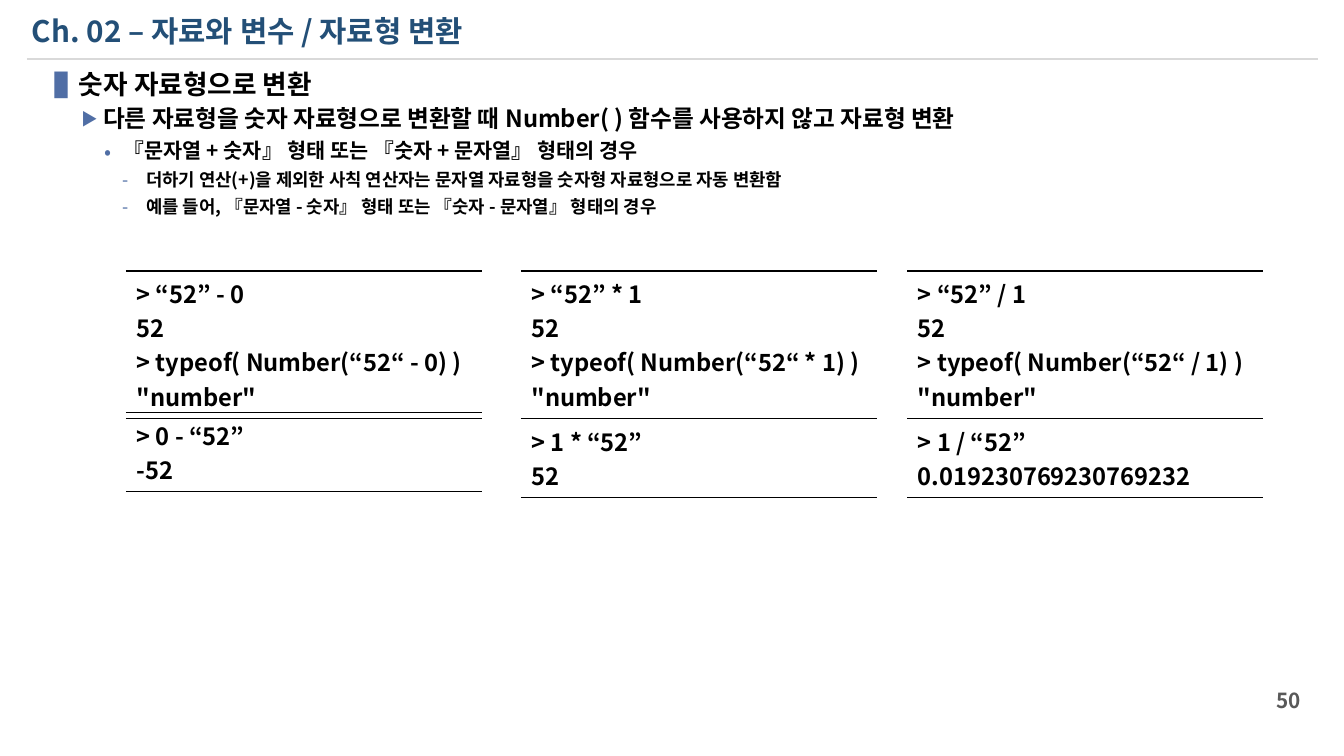
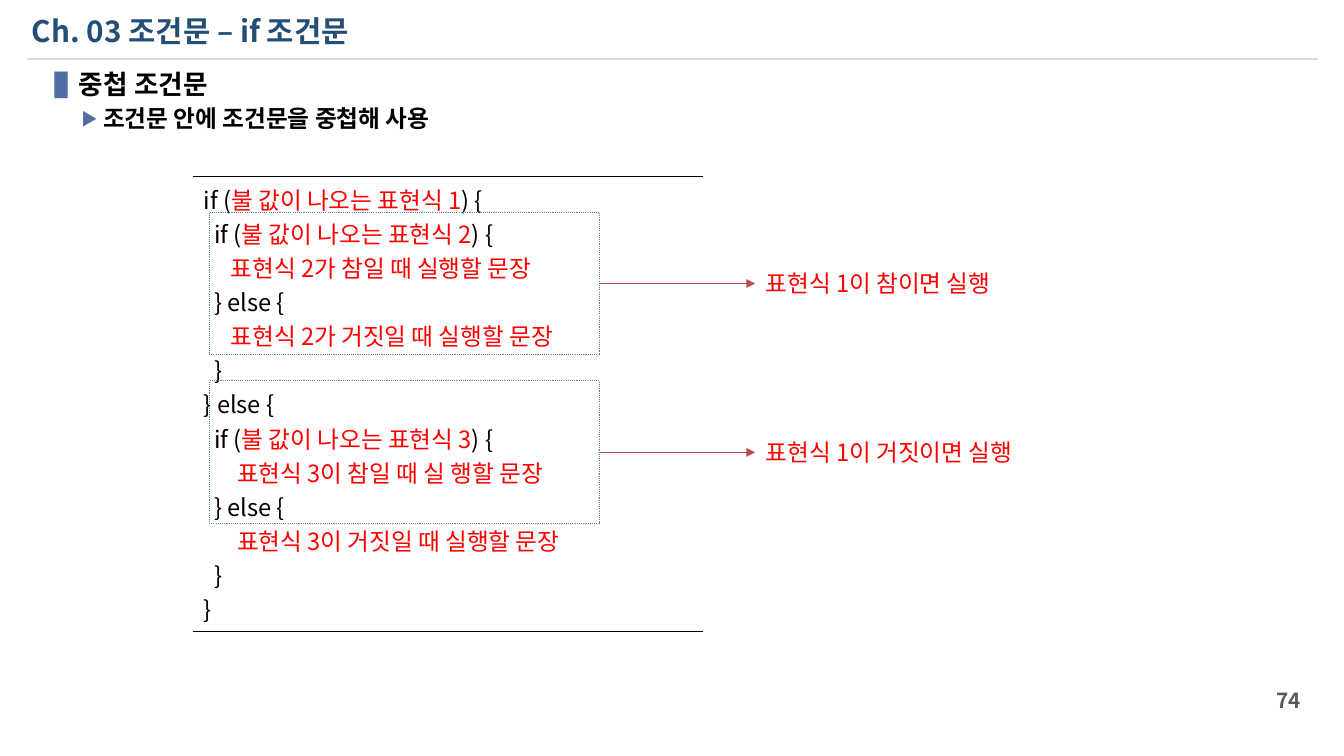
from dataclasses import dataclass

from lxml.etree import SubElement
from pptx import Presentation
from pptx.dml.color import RGBColor
from pptx.enum.dml import MSO_LINE
from pptx.enum.shapes import MSO_CONNECTOR as Connector, MSO_SHAPE as Preset
from pptx.enum.text import MSO_ANCHOR as Anchor, PP_ALIGN as Align
from pptx.oxml.ns import qn
from pptx.util import Cm, Pt

FONT = "Noto Sans CJK KR"
BLACK, RED, NAVY, BLUE = "000000", "FF0000", "234F77", "506EA5"
GREY, RULE_GREY, ARROW_RED, BOX_BLUE = "595959", "D9D9D9", "BF4C48", "4F81BD"
CODE_SIZE = 16


@dataclass(frozen=True)
class Box:
    left: float
    top: float
    width: float
    height: float

    def lengths(self) -> tuple:
        return Cm(self.left), Cm(self.top), Cm(self.width), Cm(self.height)


@dataclass(frozen=True)
class Level:
    bullet: str
    margin: float
    hanging: float
    size: int
    space_before: float
    bullet_percent: int = 100


@dataclass(frozen=True)
class Run:
    text: str
    color: str = BLACK


@dataclass(frozen=True)
class CodeLine:
    runs: tuple[Run, ...]
    indent: float = 0


LEVELS = (
    Level("▐", 0.89, 0.89, 18, 0),
    Level("▶", 1.47, 0.53, 16, 2.5, 70),
    Level("•", 1.96, 0.46, 14, 3.5),
    Level("-", 2.49, 0.56, 12, 4),
)
TITLE_BOX = Box(0.51, 0.23, 30.12, 1.12)
BODY_BOX = Box(0.74, 1.5, 30.51, 4.85)
NUMBER_BOX = Box(28.83, 16.19, 2.39, 0.97)


def rgb(color: str) -> RGBColor:
    return RGBColor.from_string(color)


def add_run(paragraph, text: str, size: int, color: str, bold: bool) -> None:
    run = paragraph.add_run()
    run.text = text
    font = run.font
    font.size, font.bold, font.name = Pt(size), bold, FONT
    font.color.rgb = rgb(color)
    SubElement(font._element, qn("a:ea"), typeface=FONT)


def next_paragraph(frame, index: int):
    return frame.add_paragraph() if index else frame.paragraphs[0]


def add_text_frame(slide, box: Box, anchor=Anchor.TOP):
    shape = slide.shapes.add_textbox(*box.lengths())
    frame = shape.text_frame
    frame.word_wrap = True
    frame.vertical_anchor = anchor
    return shape, frame


def add_line(slide, start: tuple, end: tuple, color: str, width: float):
    points = [Cm(value) for value in (*start, *end)]
    line = slide.shapes.add_connector(Connector.STRAIGHT, *points)
    line.line.color.rgb = rgb(color)
    line.line.width = Pt(width)
    SubElement(line._element.spPr, qn("a:effectLst"))
    return line


def add_base(presentation, title: str, number: str, outline: tuple):
    """Add a slide with its title, rule, page number and bullet outline."""
    slide = presentation.slides.add_slide(presentation.slide_layouts[6])
    add_line(slide, (0.64, 1.41), (31.39, 1.41), RULE_GREY, 1.5)

    # Page number
    _, frame = add_text_frame(slide, NUMBER_BOX, Anchor.MIDDLE)
    frame.paragraphs[0].alignment = Align.RIGHT
    add_run(frame.paragraphs[0], number, 14, GREY, True)

    # Title
    _, frame = add_text_frame(slide, TITLE_BOX, Anchor.MIDDLE)
    frame.paragraphs[0].line_spacing = 0.9
    add_run(frame.paragraphs[0], title, 20, NAVY, True)

    # Bullet outline
    _, frame = add_text_frame(slide, BODY_BOX)
    for index, (depth, text) in enumerate(outline):
        level = LEVELS[depth]
        paragraph = next_paragraph(frame, index)
        paragraph.level = depth
        paragraph.space_before = Pt(level.space_before)
        add_bullet(paragraph, level)
        add_run(paragraph, text, level.size, BLACK, True)
    return slide


def add_bullet(paragraph, level: Level) -> None:
    properties = paragraph._p.get_or_add_pPr()
    properties.set("marL", str(Cm(level.margin)))
    properties.set("indent", str(Cm(-level.hanging)))
    color = SubElement(properties, qn("a:buClr"))
    SubElement(color, qn("a:srgbClr"), val=BLUE)
    SubElement(properties, qn("a:buSzPct"), val=str(level.bullet_percent * 1000))
    SubElement(properties, qn("a:buFont"), typeface=FONT)
    SubElement(properties, qn("a:buChar"), char=level.bullet)


def set_borders(cell) -> None:
    """Rule the top and bottom of a cell and leave its sides open."""
    properties = cell._tc.get_or_add_tcPr()
    for position, side in enumerate(("L", "R", "T", "B")):
        border = properties.makeelement(qn(f"a:ln{side}"), {"w": str(Pt(1))})
        properties.insert(position, border)
        if side in "LR":
            SubElement(border, qn("a:noFill"))
        else:
            fill = SubElement(border, qn("a:solidFill"))
            SubElement(fill, qn("a:srgbClr"), val=BLACK)


def add_code(slide, box: Box, lines: tuple, bold: bool) -> None:
    table = slide.shapes.add_table(1, 1, *box.lengths()).table
    table.first_row = table.horz_banding = False
    cell = table.cell(0, 0)
    cell.fill.background()
    set_borders(cell)
    for index, line in enumerate(lines):
        paragraph = next_paragraph(cell.text_frame, index)
        paragraph._p.get_or_add_pPr().set("marL", str(Cm(line.indent)))
        for run in line.runs:
            add_run(paragraph, run.text, CODE_SIZE, run.color, bold)


def plain_lines(*texts: str) -> tuple:
    return tuple(CodeLine((Run(text),)) for text in texts)


def condition(number: int, indent: float = 0) -> CodeLine:
    expression = Run(f"불 값이 나오는 표현식 {number}", RED)
    return CodeLine((Run("if ("), expression, Run(") {")), indent)


def code(text: str, indent: float = 0, color: str = BLACK) -> CodeLine:
    return CodeLine((Run(text, color),), indent)


def nested_if(number: int, statements: tuple, indent: float) -> tuple:
    when_true, when_false = statements
    return (
        condition(number, 0.25),
        code(when_true, indent, RED),
        code("} else {", 0.25),
        code(when_false, indent, RED),
        code("}", 0.25),
    )


def build_conversion(presentation) -> None:
    slide = add_base(presentation, "Ch. 02 – 자료와 변수 / 자료형 변환", "50", (
        (0, "숫자 자료형으로 변환"),
        (1, "다른 자료형을 숫자 자료형으로 변환할 때 Number( ) 함수를 사용하지 않고 자료형 변환"),
        (2, "『문자열 + 숫자』 형태 또는 『숫자 + 문자열』 형태의 경우"),
        (3, "더하기 연산(+)을 제외한 사칙 연산자는 문자열 자료형을 숫자형 자료형으로 자동 변환함"),
        (3, "예를 들어, 『문자열 - 숫자』 형태 또는 『숫자 - 문자열』 형태의 경우"),
    ))
    # One column of console examples per operator
    examples = (
        (3.0, 9.83, "-", 0, "-52"),
        (12.4, 9.96, "*", 1, "52"),
        (21.6, 9.96, "/", 1, "0.019230769230769232"),
    )
    for left, lower_top, operator, operand, result in examples:
        forward = plain_lines(
            f"> “52” {operator} {operand}",
            "52",
            f"> typeof( Number(“52“ {operator} {operand}) )",
            '"number"',
        )
        reverse = plain_lines(f"> {operand} {operator} “52”", result)
        add_code(slide, Box(left, 6.45, 8.48, 3.52), forward, True)
        add_code(slide, Box(left, lower_top, 8.48, 1.88), reverse, True)


def add_branch(slide, top: float, note: str) -> None:
    """Frame a branch of the code and point from it to a note."""
    area = Box(4.98, top, 9.3, 3.4)
    frame_shape = slide.shapes.add_shape(Preset.RECTANGLE, *area.lengths())
    frame_shape.shadow.inherit = False
    frame_shape.fill.background()
    frame_shape.line.color.rgb = rgb(BOX_BLUE)
    frame_shape.line.width = Pt(0.75)
    frame_shape.line.dash_style = MSO_LINE.ROUND_DOT

    note_height = 0.94
    note_top = top + (area.height - note_height) / 2
    note_box = Box(17.98, note_top, 7.87, note_height)
    note_shape, frame = add_text_frame(slide, note_box, Anchor.MIDDLE)
    add_run(frame.paragraphs[0], note, CODE_SIZE, RED, False)

    middle = top + area.height / 2
    start = (area.left + area.width, middle)
    arrow = add_line(slide, start, (note_box.left, middle), ARROW_RED, 0.75)
    arrow.begin_connect(frame_shape, 3)
    arrow.end_connect(note_shape, 1)
    SubElement(arrow.line._get_or_add_ln(), qn("a:tailEnd"), type="triangle")


def build_nested_condition(presentation) -> None:
    slide = add_base(presentation, "Ch. 03 조건문 – if 조건문", "74", (
        (0, "중첩 조건문"),
        (1, "조건문 안에 조건문을 중첩해 사용"),
    ))
    # Nested if statement
    second = ("표현식 2가 참일 때 실행할 문장", "표현식 2가 거짓일 때 실행할 문장")
    third = ("표현식 3이 참일 때 실 행할 문장", "표현식 3이 거짓일 때 실행할 문장")
    lines = (
        condition(1),
        *nested_if(2, second, 0.64),
        code("} else {"),
        *nested_if(3, third, 0.79),
        code("}"),
    )
    add_code(slide, Box(4.6, 4.2, 12.14, 10.83), lines, False)

    # Branches
    add_branch(slide, 5.05, "표현식 1이 참이면 실행")
    add_branch(slide, 9.07, "표현식 1이 거짓이면 실행")


def main() -> None:
    presentation = Presentation()
    presentation.slide_width, presentation.slide_height = Cm(32), Cm(18)
    build_conversion(presentation)
    build_nested_condition(presentation)
    presentation.save("out.pptx")


if __name__ == "__main__":
    main()
